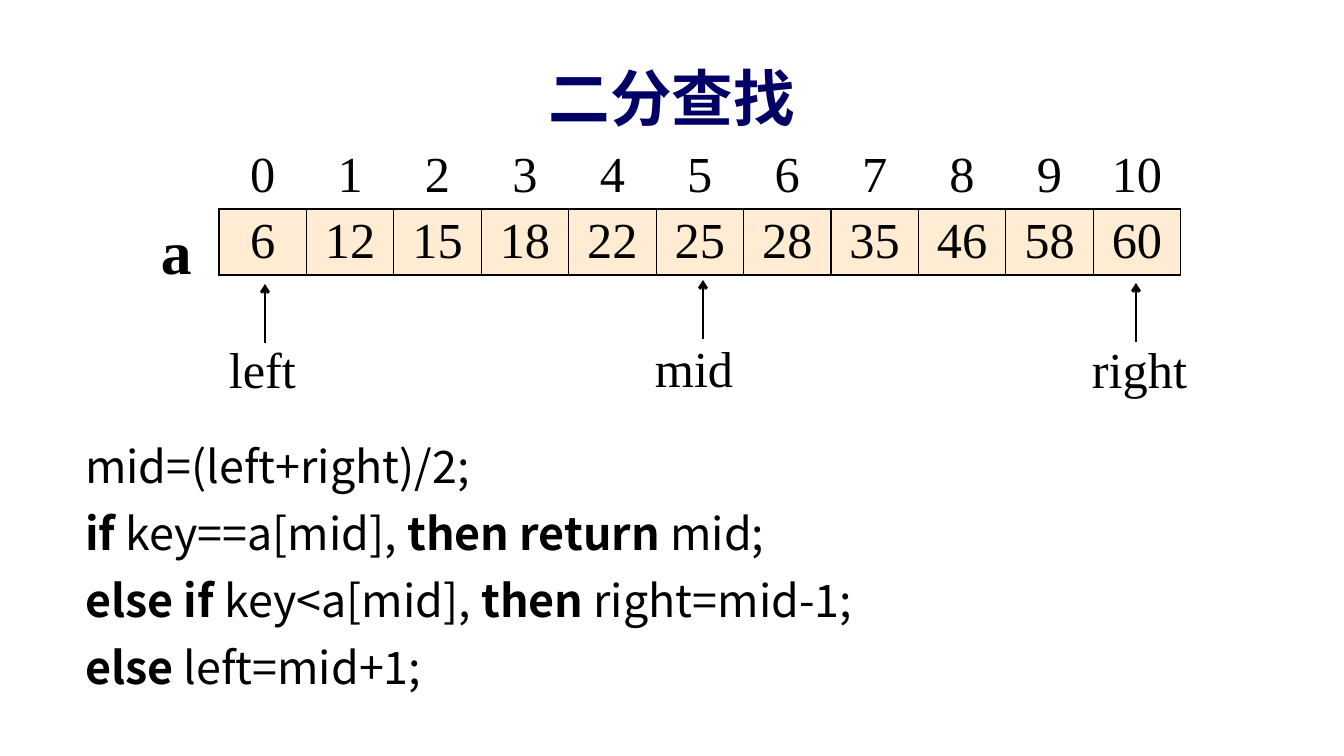
from lxml import etree
from pptx import Presentation
from pptx.dml.color import RGBColor
from pptx.enum.shapes import MSO_CONNECTOR
from pptx.enum.text import MSO_ANCHOR, MSO_AUTO_SIZE, PP_ALIGN
from pptx.oxml.ns import qn
from pptx.util import Pt

PX = 914400 / 100.8
LEFT, CENTER = PP_ALIGN.LEFT, PP_ALIGN.CENTER
MIDDLE, TOP = MSO_ANCHOR.MIDDLE, MSO_ANCHOR.TOP
STRAIGHT = MSO_CONNECTOR.STRAIGHT
NO_AUTOFIT = MSO_AUTO_SIZE.NONE
COLORS = {"title": "000066", "ink": "000000", "cell": "FFECD3", "paper": "FFFFFF"}
SANS, SERIF = "Noto Sans CJK SC", "Times New Roman"


def px(*lengths):
    return [round(length * PX) for length in lengths]


def rgb(name):
    return RGBColor.from_string(COLORS[name])


def add_text(paragraph, text, size=36, font=SERIF, color="ink", bold=False, align=LEFT):
    paragraph.alignment = align
    run = paragraph.add_run()
    run.text = text
    run.font.size = Pt(size)
    run.font.name = font
    run.font.bold = bold
    run.font.color.rgb = rgb(color)
    east_asian = etree.Element(qn("a:ea"), typeface=font)
    run.font._element.find(qn("a:latin")).addnext(east_asian)


class ArraySlide:
    def __init__(self, presentation):
        self.slide = presentation.slides.add_slide(presentation.slide_layouts[1])
        self.shapes = self.slide.shapes

    def place(self, shape, left, top, width, height, anchor):
        shape.left, shape.top, shape.width, shape.height = px(left, top, width, height)
        frame = shape.text_frame
        frame.word_wrap = True
        frame.auto_size = NO_AUTOFIT
        frame.vertical_anchor = anchor
        return frame

    def title(self, text, *box):
        frame = self.place(self.shapes.title, *box, MIDDLE)
        add_text(frame.paragraphs[0], text, size=44, font=SANS, color="title",
                 bold=True, align=CENTER)

    def body(self, lines, *box):
        frame = self.place(self.slide.placeholders[1], *box, TOP)
        for index, line in enumerate(lines):
            paragraph = frame.add_paragraph() if index else frame.paragraphs[0]
            paragraph.line_spacing = 1.25
            paragraph.space_before = Pt(0)
            properties = paragraph._p.get_or_add_pPr()
            properties.set("marL", "0")
            properties.set("indent", "0")
            etree.SubElement(properties, qn("a:buNone"))
            for text, bold in line:
                add_text(paragraph, text, size=32, font=SANS, bold=bold)

    def label(self, text, *box, **style):
        frame = self.place(self.shapes.add_textbox(0, 0, 0, 0), *box, TOP)
        add_text(frame.paragraphs[0], text, **style)

    def arrow(self, x, start, end):
        connector = self.shapes.add_connector(STRAIGHT, *px(x, start, x, end))
        connector.line.color.rgb = rgb("ink")
        connector.line.width = Pt(2)
        etree.SubElement(connector.line._get_or_add_ln(), qn("a:tailEnd"), type="arrow")
        etree.SubElement(connector._element.spPr, qn("a:effectLst"))

    def border(self, cell, edge, color):
        line = etree.SubElement(cell._tc.get_or_add_tcPr(), qn(f"a:ln{edge}"), w=str(Pt(1)))
        fill = etree.SubElement(line, qn("a:solidFill"))
        etree.SubElement(fill, qn("a:srgbClr"), val=COLORS[color])

    def array(self, values, *box):
        rows = [range(len(values)), values]
        table = self.shapes.add_table(len(rows), len(values), *px(*box)).table
        table.first_row = table.horz_banding = False
        for row_index, row in enumerate(rows):
            for column_index, value in enumerate(row):
                cell = table.cell(row_index, column_index)
                cell.margin_top, cell.margin_bottom = px(4, 4)
                cell.vertical_anchor = MIDDLE
                for edge in "LRTB":
                    drawn = row_index == 1 or edge == "B"
                    self.border(cell, edge, "ink" if drawn else "paper")
                if row_index == 1:
                    cell.fill.solid()
                    cell.fill.fore_color.rgb = rgb("cell")
                else:
                    cell.fill.background()
                add_text(cell.text_frame.paragraphs[0], str(value), align=CENTER)


def main():
    presentation = Presentation()
    presentation.slide_width, presentation.slide_height = px(1344, 756)
    page = ArraySlide(presentation)

    # Title and search rule
    page.title("二分查找", 101, 59, 1142, 76)
    page.body([
        [("mid=(left+right)/2;", False)],
        [("if", True), (" key==a[mid], ", False), ("then return", True), (" mid;", False)],
        [("else if ", True), ("key<a[mid], ", False), ("then", True),
         (" right=mid-1;", False)],
        [("else", True), (" left=mid+1;", False)],
    ], 75, 420, 1167, 310)

    # Array with its indices
    page.array([6, 12, 15, 18, 22, 25, 28, 35, 46, 58, 60], 219, 143, 962, 132)
    page.label("a", 151, 208, 97, 85, size=44, bold=True)

    # Pointers into the array
    for name, left, top, width, arrow_x, arrow_top in [
        ("left", 219, 333, 97, 265, 284),
        ("mid", 645, 332, 110, 703, 280),
        ("right", 1082, 333, 136, 1136, 283),
    ]:
        page.arrow(arrow_x, arrow_top + 59, arrow_top)
        page.label(name, left, top, width, 72)

    presentation.save("out.pptx")


if __name__ == "__main__":
    main()
